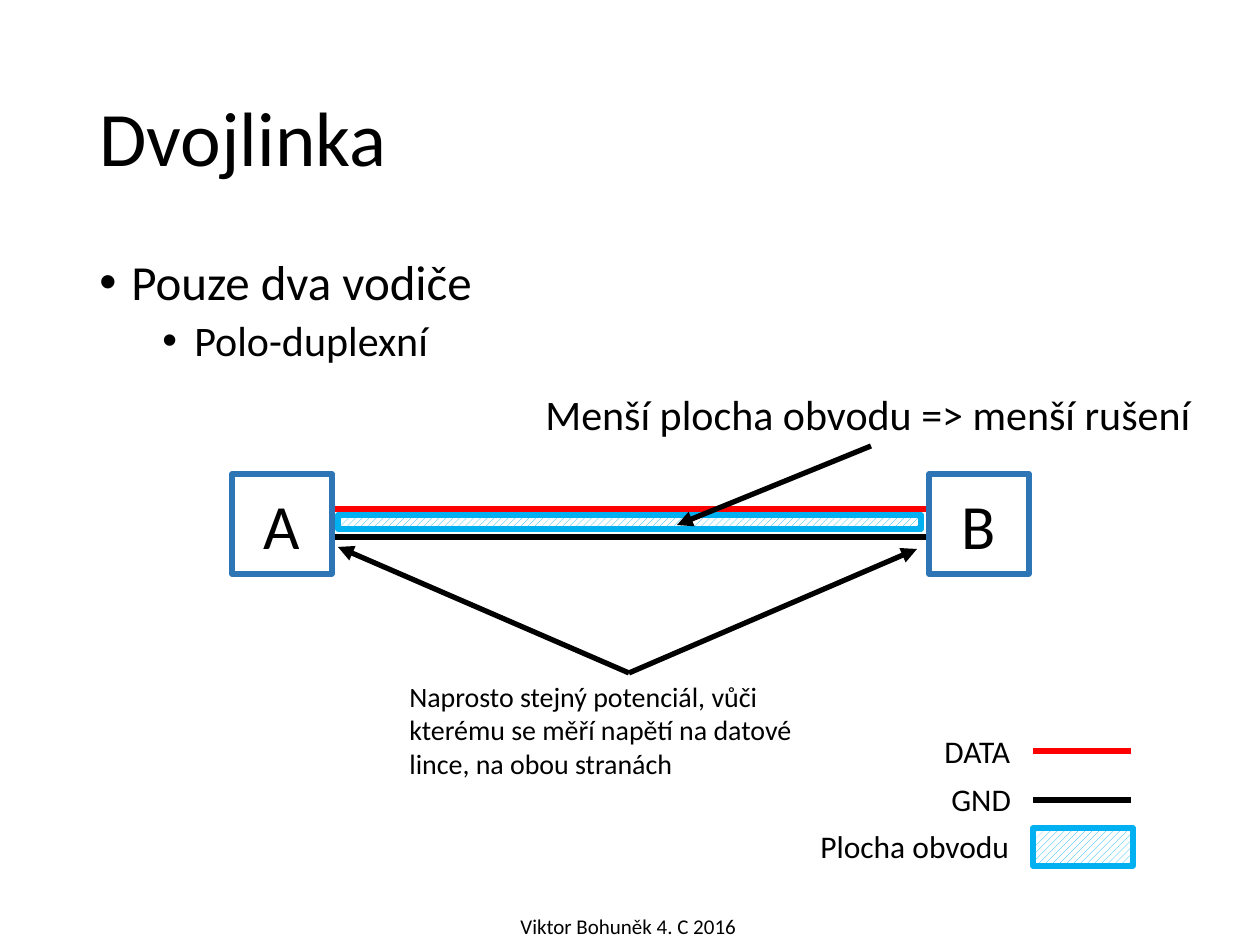
"""Build the slide about a two-wire link between A and B."""
from lxml.etree import SubElement
from pptx import Presentation
from pptx.dml.color import RGBColor
from pptx.enum.dml import MSO_PATTERN
from pptx.enum.shapes import MSO_CONNECTOR, MSO_SHAPE
from pptx.enum.text import MSO_ANCHOR, PP_ALIGN
from pptx.oxml.ns import qn
from pptx.util import Pt

PIXEL = 914400 / 126
COLORS = {
    "text": "000000",
    "data": "FF0000",
    "ground": "000000",
    "area": "00B0F0",
    "device": "2E75B6",
    "paper": "FFFFFF",
}
COLORS = {name: RGBColor.from_string(value) for name, value in COLORS.items()}


def write(frame, lines, size, align=PP_ALIGN.LEFT, **frame_format):
    for name, value in frame_format.items():
        setattr(frame, name, value)
    for index, line in enumerate(lines):
        para = frame.add_paragraph() if index else frame.paragraphs[0]
        para.alignment = align
        span = para.add_run()
        span.text = line
        font_format = {"name": "Calibri", "size": Pt(size)}
        for name, value in font_format.items():
            setattr(span.font, name, value)
        span.font.color.rgb = COLORS["text"]


def draw_line(page, start, end, color, arrow=False):
    points = [round(value * PIXEL) for value in start + end]
    line = page.shapes.add_connector(MSO_CONNECTOR.STRAIGHT, *points)
    line.line.width = Pt(3)
    line.line.color.rgb = COLORS[color]
    if arrow:
        SubElement(line.line._get_or_add_ln(), qn("a:tailEnd"), type="triangle")
    SubElement(line._element.spPr, qn("a:effectLst"))


deck = Presentation()
deck.slide_width = round(1260 * PIXEL)
deck.slide_height = round(945 * PIXEL)
page = deck.slides.add_slide(deck.slide_layouts[6])

draw_line(page, (320, 509), (942, 509), "data")
draw_line(page, (320, 537), (942, 537), "ground")
draw_line(page, (1033, 751), (1131, 751), "data")
draw_line(page, (1033, 800), (1131, 800), "ground")

rectangles = [
    ((232, 474, 100, 100), "device", "A"),
    ((929, 474, 100, 100), "device", "B"),
    ((338, 515, 583, 14), "area", None),
    ((1033, 828, 100, 38), "area", None),
]
for place, color, label in rectangles:
    bounds = [round(value * PIXEL) for value in place]
    box = page.shapes.add_shape(MSO_SHAPE.RECTANGLE, *bounds)
    box.shadow.inherit = False
    box.line.width = Pt(3)
    box.line.color.rgb = COLORS[color]
    if label:
        box.fill.solid()
        box.fill.fore_color.rgb = COLORS["paper"]
        write(box.text_frame, [label], 36, PP_ALIGN.CENTER, vertical_anchor=MSO_ANCHOR.MIDDLE)
    else:
        box.fill.patterned()
        box.fill.pattern = MSO_PATTERN.WIDE_UPWARD_DIAGONAL
        box.fill.fore_color.rgb = COLORS[color]
        box.fill.back_color.rgb = COLORS["paper"]

draw_line(page, (871, 446), (677, 525), "ground", arrow=True)
for tip in [(338, 547), (917, 549)]:
    draw_line(page, (629, 673), tip, "ground", arrow=True)

note = "Naprosto stejný potenciál, vůči kterému se měří napětí na datové lince, na obou stranách"
texts = [
    ((87, 50, 1086, 183), ["Dvojlinka"], 44, {"vertical_anchor": MSO_ANCHOR.MIDDLE, "word_wrap": True}),
    ((87, 252, 1086, 600), ["Pouze dva vodiče", "Polo-duplexní"], 28, {"word_wrap": True}),
    ((533, 382, 677, 63), ["Menší plocha obvodu => menší rušení"], 24, {"word_wrap": False}),
    ((397, 673, 464, 115), [note], 16, {"word_wrap": True}),
    ((932, 726, 92, 50), ["DATA"], 18, {"word_wrap": False}),
    ((939, 774, 86, 50), ["GND"], 18, {"word_wrap": False}),
    ((808, 821, 217, 50), ["Plocha obvodu"], 18, {"word_wrap": False}),
    ((508, 907, 243, 38), ["Viktor Bohuněk 4. C 2016"], 12, {"word_wrap": False}),
]
frames = []
for place, lines, size, frame_format in texts:
    bounds = [round(value * PIXEL) for value in place]
    frame = page.shapes.add_textbox(*bounds).text_frame
    write(frame, lines, size, **frame_format)
    frames.append(frame)

title, body = frames[:2]
title.paragraphs[0].line_spacing = 0.9
bullets = [(0, 28, 10, 32), (1, 24, 5, 95)]
for para, (level, size, before, margin) in zip(body.paragraphs, bullets):
    para_format = {"level": level, "line_spacing": 0.9, "space_before": Pt(before)}
    for name, value in para_format.items():
        setattr(para, name, value)
    para.runs[0].font.size = Pt(size)
    properties = para._p.get_or_add_pPr()
    properties.set("marL", str(round(margin * PIXEL)))
    properties.set("indent", str(round(-32 * PIXEL)))
    SubElement(properties, qn("a:buFont"), typeface="Arial")
    SubElement(properties, qn("a:buChar"), char="•")

deck.save("out.pptx")
